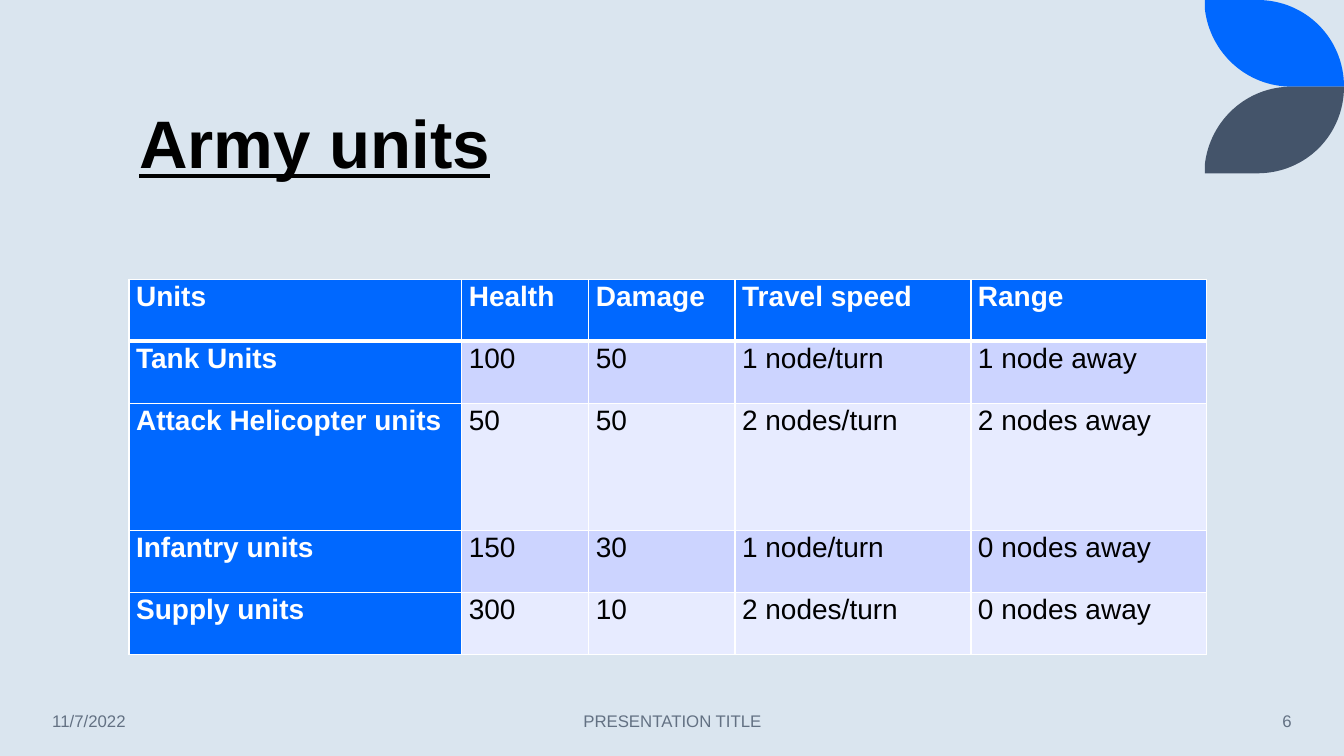
from dataclasses import dataclass

import lxml.etree
import pptx
import pptx.dml.color
import pptx.enum.text
import pptx.oxml.ns
import pptx.util

Inches = pptx.util.Inches
Pt = pptx.util.Pt
qn = pptx.oxml.ns.qn
ALIGN = pptx.enum.text.PP_ALIGN
ANCHOR = pptx.enum.text.MSO_ANCHOR


@dataclass(frozen=True)
class Theme:
    """Colours, font and type sizes of the slide."""
    font: str = "Arial"
    background: str = "DAE5EF"
    accent: str = "0068FF"
    slate: str = "44546A"
    bands: tuple = ("CCD4FF", "E7EBFF")
    ink: str = "000000"
    white: str = "FFFFFF"
    muted: str = "637183"
    title_size: int = 48
    table_size: int = 20
    footer_size: int = 12


THEME = Theme()
UNITS = [
    ("Units", "Health", "Damage", "Travel speed", "Range"),
    ("Tank Units", "100", "50", "1 node/turn", "1 node away"),
    ("Attack Helicopter units", "50", "50", "2 nodes/turn", "2 nodes away"),
    ("Infantry units", "150", "30", "1 node/turn", "0 nodes away"),
    ("Supply units", "300", "10", "2 nodes/turn", "0 nodes away"),
]
COLUMN_WIDTHS = (3.3, 1.26, 1.45, 2.34, 2.34)
ROW_HEIGHTS = (0.615, 0.615, 1.26, 0.615, 0.615)
FOOTERS = [
    ("11/7/2022", 0.42, 1.86, ALIGN.LEFT),
    ("PRESENTATION TITLE", 4.42, 4.5, ALIGN.CENTER),
    ("6", 11.1, 1.81, ALIGN.RIGHT),
]
LEAF_HEIGHT = 0.86
LEAF_OUTLINE = [
    (11.95, 0), (12.47, 0),
    (12.95, 0), (13.33, 0.38), (13.33, 0.86),
    (12.81, 0.86),
    (12.36, 0.86), (12, 0.52), (11.95, 0.09),
]
LEAF_CURVE_STARTS = (1, 5)


def rgb(colour):
    """Return the colour object for a hex string."""
    return pptx.dml.color.RGBColor.from_string(colour)


def paint(target, colour):
    """Give a shape, cell or background a solid fill."""
    target.fill.solid()
    target.fill.fore_color.rgb = rgb(colour)


def style(paragraph, size, colour, bold=False):
    """Set the font of a whole paragraph."""
    font = paragraph.font
    font.name, font.size, font.bold = THEME.font, Pt(size), bold
    font.color.rgb = rgb(colour)


def place(shape, left, top, width, height):
    """Move and size a shape, in inches."""
    shape.left, shape.top = Inches(left), Inches(top)
    shape.width, shape.height = Inches(width), Inches(height)


def bend(shape, starts):
    """Turn three segments from each start index into one Bezier curve."""
    segments = list(shape._element.iter(qn("a:lnTo")))
    for start in starts:
        triple = segments[start:start + 3]
        curve = lxml.etree.Element(qn("a:cubicBezTo"))
        triple[0].addprevious(curve)
        for segment in triple:
            curve.append(segment[0])
            segment.getparent().remove(segment)


def add_leaf(slide, colour, flipped):
    """Draw one corner leaf, the flipped one mirrored below the other."""
    outline = [(Inches(x), Inches(2 * LEAF_HEIGHT - y if flipped else y))
               for x, y in LEAF_OUTLINE]
    builder = slide.shapes.build_freeform(*outline[0])
    builder.add_line_segments(outline[1:], close=True)
    leaf = builder.convert_to_shape()
    bend(leaf, LEAF_CURVE_STARTS)
    paint(leaf, colour)
    leaf.line.fill.background()
    leaf.shadow.inherit = False


def add_title(slide, text):
    """Fill and format the title placeholder."""
    title = slide.shapes.title
    place(title, 1.28, 0.42, 10.69, 1.45)
    frame = title.text_frame
    frame.text = text
    frame.auto_size = pptx.enum.text.MSO_AUTO_SIZE.NONE
    frame.vertical_anchor = ANCHOR.BOTTOM
    paragraph = frame.paragraphs[0]
    paragraph.alignment = ALIGN.LEFT
    paragraph.line_spacing = 0.9
    style(paragraph, THEME.title_size, THEME.ink, bold=True)
    paragraph.font.underline = True


def add_footer(slide, text, left, width, alignment):
    """Add one text of the footer row."""
    footer = slide.shapes.add_textbox(
        Inches(left), Inches(6.95), Inches(width), Inches(0.4))
    frame = footer.text_frame
    frame.word_wrap = True
    frame.vertical_anchor = ANCHOR.MIDDLE
    frame.text = text
    frame.paragraphs[0].alignment = alignment
    style(frame.paragraphs[0], THEME.footer_size, THEME.muted)


def set_borders(cell, widths):
    """Draw white borders, given widths in points by side letter."""
    properties = cell._tc.get_or_add_tcPr()
    for position, (side, width) in enumerate(widths.items()):
        border = lxml.etree.Element(qn(f"a:ln{side}"), w=str(Pt(width)))
        fill = lxml.etree.SubElement(border, qn("a:solidFill"))
        lxml.etree.SubElement(fill, qn("a:srgbClr"), val=THEME.white)
        properties.insert(position, border)


def fill_cell(cell, text, row, column):
    """Write and format one table cell by its position."""
    heading = row == 0 or column == 0
    cell.text = text
    cell.margin_left = cell.margin_right = Inches(0.07)
    cell.margin_top = cell.margin_bottom = 0
    paragraph = cell.text_frame.paragraphs[0]
    paragraph.line_spacing = 1.07
    paragraph.space_after = Pt(8)
    style(paragraph, THEME.table_size, THEME.white if heading else THEME.ink, heading)
    paint(cell, THEME.accent if heading else THEME.bands[(row - 1) % 2])
    set_borders(cell, {"L": 1, "R": 1, "T": 3 if row == 1 else 1,
                       "B": 3 if row == 0 else 1})


def add_units_table(slide):
    """Add the table of army units."""
    frame = slide.shapes.add_table(
        len(UNITS), len(COLUMN_WIDTHS), Inches(1.28), Inches(2.77),
        Inches(sum(COLUMN_WIDTHS)), Inches(sum(ROW_HEIGHTS)))
    table = frame.table
    table.first_col = True
    for column, width in zip(table.columns, COLUMN_WIDTHS):
        column.width = Inches(width)
    for row, height in zip(table.rows, ROW_HEIGHTS):
        row.height = Inches(height)
    for row, values in enumerate(UNITS):
        for column, text in enumerate(values):
            fill_cell(table.cell(row, column), text, row, column)


def main():
    """Build the army units slide and save it."""
    presentation = pptx.Presentation()
    presentation.slide_width = Inches(13.33)
    presentation.slide_height = Inches(7.5)
    slide = presentation.slides.add_slide(presentation.slide_layouts[5])
    paint(slide.background, THEME.background)
    add_leaf(slide, THEME.accent, flipped=False)
    add_leaf(slide, THEME.slate, flipped=True)
    add_title(slide, "Army units")
    for footer in FOOTERS:
        add_footer(slide, *footer)
    add_units_table(slide)
    presentation.save("out.pptx")


main()
